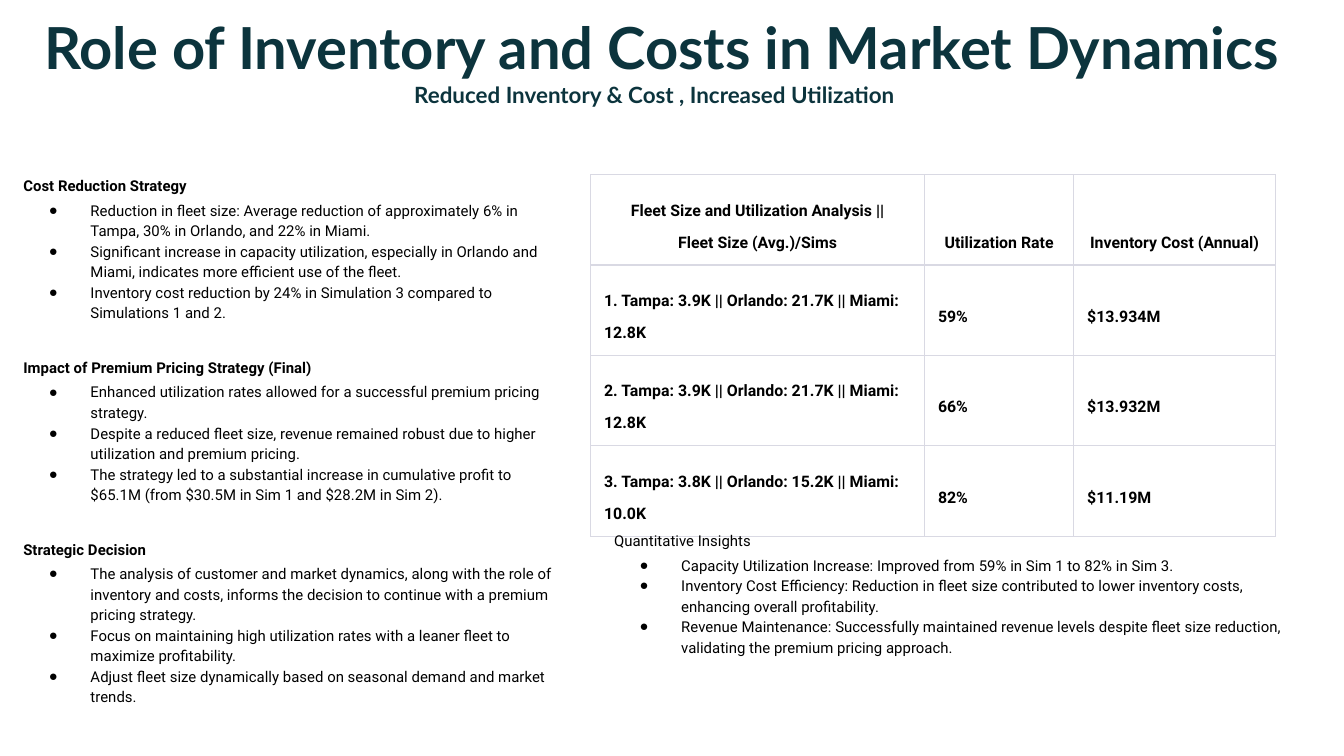
from lxml import etree
from pptx import Presentation
from pptx.dml.color import RGBColor
from pptx.enum.text import MSO_ANCHOR, PP_ALIGN
from pptx.oxml.ns import qn
from pptx.util import Inches, Pt

TOP, MID, LOW = MSO_ANCHOR.TOP, MSO_ANCHOR.MIDDLE, MSO_ANCHOR.BOTTOM
LEFT, MIDST = PP_ALIGN.LEFT, PP_ALIGN.CENTER
BLACK = RGBColor(0, 0, 0)
TEAL = RGBColor(0x0C, 0x34, 0x3D)
EDGE = RGBColor(0xD9, 0xD9, 0xE3)
WIDE = Inches(10)
HIGH = WIDE * 9 // 16
PAD, SLIM = Inches(0.1), Pt(6.8)

HEAD = [("Role of Inventory and Costs in Market Dynamics", 31),
        ("Reduced Inventory & Cost , Increased Utilization", 12)]
PLANS = [
    ("Cost Reduction Strategy ", [
        "Reduction in fleet size: Average reduction of approximately 6% in Tampa, 30% in Orlando, and 22% in Miami.",
        "Significant increase in capacity utilization, especially in Orlando and Miami, indicates more efficient use of the fleet.",
        "Inventory cost reduction by 24% in Simulation 3 compared to Simulations 1 and 2."]),
    ("Impact of Premium Pricing Strategy (Final)", [
        "Enhanced utilization rates allowed for a successful premium pricing strategy.",
        "Despite a reduced fleet size, revenue remained robust due to higher utilization and premium pricing.",
        "The strategy led to a substantial increase in cumulative profit to $65.1M (from $30.5M in Sim 1 and $28.2M in Sim 2)."]),
    ("Strategic Decision", [
        "The analysis of customer and market dynamics, along with the role of inventory and costs, informs the decision to continue with a premium pricing strategy.",
        "Focus on maintaining high utilization rates with a leaner fleet to maximize profitability.",
        "Adjust fleet size dynamically based on seasonal demand and market trends."])]
FACTS = [
    ("Quantitative Insights", [
        "Capacity Utilization Increase: Improved from 59% in Sim 1 to 82% in Sim 3.",
        "Inventory Cost Efficiency: Reduction in fleet size contributed to lower inventory costs, enhancing overall profitability.",
        "Revenue Maintenance: Successfully maintained revenue levels despite fleet size reduction, validating the premium pricing approach."])]
FLEET = [
    ["Fleet Size and Utilization Analysis ||\nFleet Size (Avg.)/Sims", "Utilization Rate", "Inventory Cost (Annual)"],
    ["1. Tampa: 3.9K || Orlando: 21.7K || Miami: 12.8K", "59%", "$13.934M"],
    ["2. Tampa: 3.9K || Orlando: 21.7K || Miami: 12.8K", "66%", "$13.932M"],
    ["3. Tampa: 3.8K || Orlando: 15.2K || Miami: 10.0K", "82%", "$11.19M"]]


def put(item, **vals):
    for key, val in vals.items():
        setattr(item, key, val)


class Page:
    """Places text and tables by percent of the slide's size."""

    def __init__(self, deck):
        self.slide = deck.slides.add_slide(deck.slide_layouts[5])

    def area(self, x, y, w, h):
        return [int(WIDE * x / 100), int(HIGH * y / 100),
                int(WIDE * w / 100), int(HIGH * h / 100)]

    def pad(self, item, anchor, edge=PAD):
        put(item, vertical_anchor=anchor, margin_left=PAD,
            margin_right=PAD, margin_top=edge, margin_bottom=edge)

    def line(self, para, text, size, gap, before=0, bold=False,
             face="Roboto", ink=BLACK, align=LEFT):
        put(para, line_spacing=gap, space_before=Pt(before),
            space_after=Pt(0), alignment=align)
        run = para.add_run()
        run.text = text
        put(run.font, size=Pt(size), bold=bold, name=face)
        run.font.color.rgb = ink

    def dot(self, para):
        props = para._p.get_or_add_pPr()
        props.set("marL", str(Inches(0.5)))
        props.set("indent", str(-Inches(0.31)))
        ink = etree.SubElement(props, qn("a:buClr"))
        etree.SubElement(ink, qn("a:srgbClr"), val=str(BLACK))
        etree.SubElement(props, qn("a:buFont"), typeface="Arial")
        etree.SubElement(props, qn("a:buChar"), char="●")

    def title(self, lines, *area):
        shape = self.slide.shapes.title
        put(shape, **dict(zip(("left", "top", "width", "height"), self.area(*area))))
        frame = shape.text_frame
        frame.word_wrap = True
        self.pad(frame, TOP)
        look = dict(gap=0.5, bold=True, face="Lato", ink=TEAL, align=MIDST)
        for num, (text, size) in enumerate(lines):
            para = frame.add_paragraph() if num else frame.paragraphs[0]
            self.line(para, text, size, **look)
        # The last line keeps the height of the first
        self.line(para, " ", lines[0][1], **look)

    def notes(self, parts, bold, *area):
        frame = self.slide.shapes.add_textbox(*self.area(*area)).text_frame
        frame.word_wrap = True
        self.pad(frame, TOP)
        for num, (head, points) in enumerate(parts):
            para = frame.add_paragraph() if num else frame.paragraphs[0]
            self.line(para, head, 8, 1.5, 15 if num else 12, bold)
            for rank, point in enumerate(points):
                para = frame.add_paragraph()
                self.line(para, point, 8, 1.15, 0 if rank else 2)
                self.dot(para)

    def edges(self, cell):
        props = cell._tc.get_or_add_tcPr()
        for side in ("lnL", "lnR", "lnT", "lnB"):
            edge = etree.SubElement(props, qn("a:" + side), w=str(Pt(0.75)))
            fill = etree.SubElement(edge, qn("a:solidFill"))
            etree.SubElement(fill, qn("a:srgbClr"), val=str(EDGE))

    def table(self, rows, widths, high, x, y):
        area = self.area(x, y, sum(widths), high * len(rows))
        grid = self.slide.shapes.add_table(len(rows), len(widths), *area).table
        put(grid, first_row=False, horz_banding=False)
        for col, width in zip(grid.columns, widths):
            col.width = int(WIDE * width / 100)
        for r, row in enumerate(rows):
            for c, text in enumerate(row):
                cell = grid.cell(r, c)
                self.pad(cell, MID if r else LOW, SLIM)
                self.edges(cell)
                cell.fill.background()
                frame = cell.text_frame
                for num, part in enumerate(text.split("\n")):
                    para = frame.add_paragraph() if num else frame.paragraphs[0]
                    self.line(para, part, 8.5, 1.71, bold=True, align=LEFT if r else MIDST)


deck = Presentation()
put(deck, slide_width=WIDE, slide_height=HIGH)
page = Page(deck)

# Strategy column
page.notes(PLANS, True, 0.75, 20.45, 42.4, 78.4)
# Heading
page.title(HEAD, -0.1, 3.7, 98.65, 11.2)
# Fleet table and the insights below it
page.table(FLEET, [24.85, 11.1, 15], 10.5, 43.95, 23.1)
page.notes(FACTS, False, 44.7, 67.4, 53.9, 22.6)

deck.save("out.pptx")
